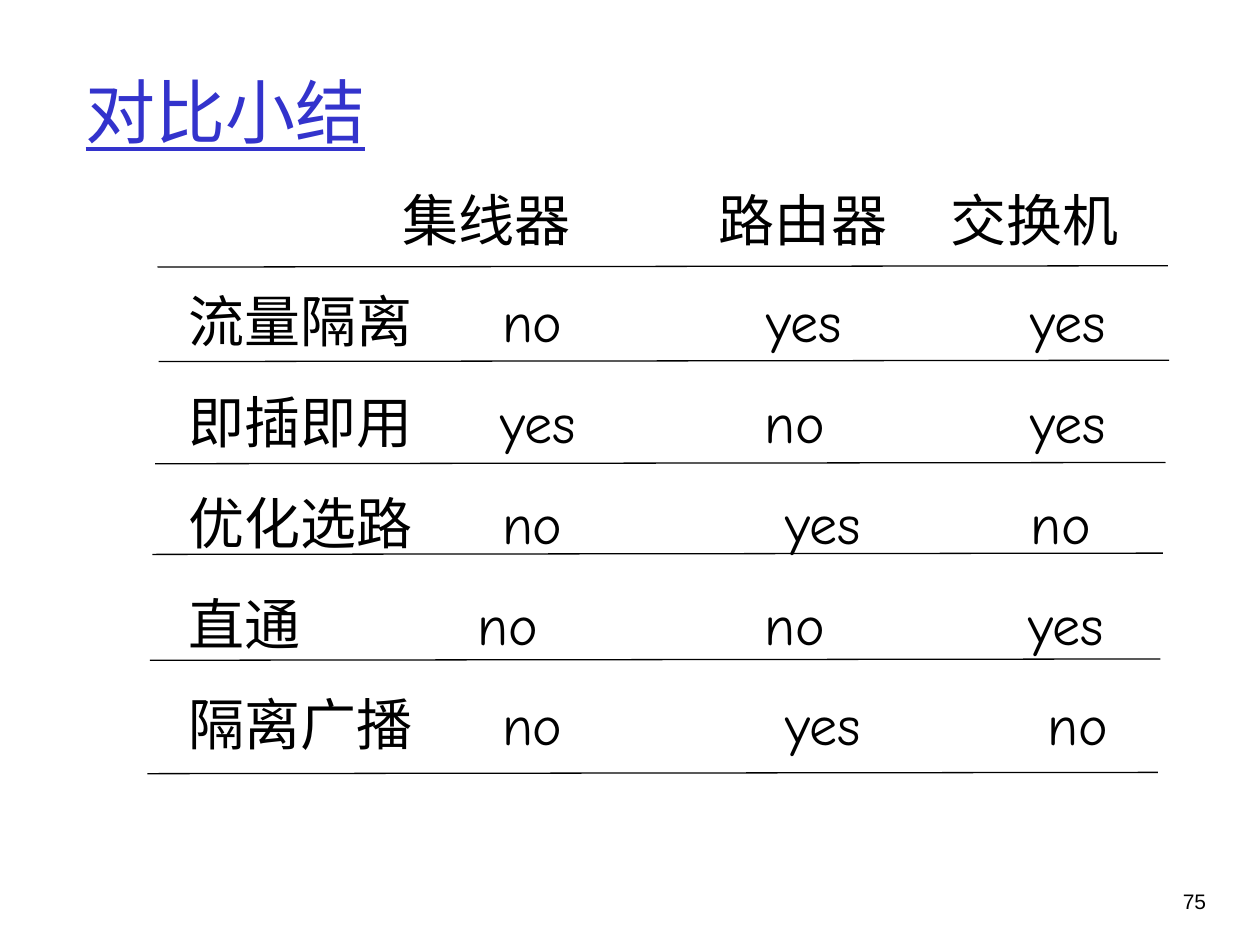
from lxml.etree import SubElement
from pptx import Presentation
from pptx.dml.color import RGBColor
from pptx.enum.shapes import MSO_CONNECTOR
from pptx.enum.text import MSO_ANCHOR, MSO_AUTO_SIZE, PP_ALIGN
from pptx.oxml.ns import qn
from pptx.util import Pt

BLUE = RGBColor(0x33, 0x33, 0xCC)
BLACK = RGBColor(0, 0, 0)

TITLE_FONT = {"name": "Times New Roman", "size": Pt(40), "underline": True}
TABLE_FONT = {"name": "Comic Neue", "size": Pt(32)}
NUMBER_FONT = {"name": "Arial", "size": Pt(12)}

ROWS = [
    (("", "集线器", "路由器", "交换机"), (122, 303, 435)),
    (("流量隔离", "no", "yes", "yes"), (179, 330, 481)),
    (("即插即用", "yes", "no", "yes"), (178, 329, 481)),
    (("优化选路", "no", "yes", "no"), (179, 341, 481)),
    (("直通", "no", "no", "yes"), (165, 329, 480)),
    (("隔离广播", "no", "yes", "no"), (179, 341, 491)),
]
RULE_STARTS = [(90, 152.6), (90.7, 206.6), (88.6, 265), (87.1, 316.8), (85.7, 377.3), (84.2, 442.1)]
RULE_WIDTH = 577.4
RULE_RISE = 0.72


def set_values(target, values):
    for name, value in values.items():
        setattr(target, name, value)


def write(paragraph, text, font, color):
    span = paragraph.add_run()
    span.text = text
    set_values(span.font, font)
    span.font.color.rgb = color


def add_title(page, text):
    title = page.shapes.title
    set_values(title, {"left": Pt(41.76), "top": Pt(18), "width": Pt(612), "height": Pt(90)})
    set_values(title.text_frame, {
        "vertical_anchor": MSO_ANCHOR.MIDDLE,
        "auto_size": MSO_AUTO_SIZE.NONE,
        "word_wrap": True,
    })
    para = title.text_frame.paragraphs[0]
    para.alignment = PP_ALIGN.LEFT
    write(para, text, TITLE_FONT, BLUE)


def add_box(page, left, top, width, height):
    box = page.shapes.add_textbox(Pt(left), Pt(top), Pt(width), Pt(height))
    box.text_frame.word_wrap = True
    return box.text_frame


def add_tabs(paragraph, stops):
    tabs = SubElement(paragraph._p.get_or_add_pPr(), qn("a:tabLst"))
    for stop in stops:
        SubElement(tabs, qn("a:tab"), pos=str(Pt(stop)), algn="l")


def add_comparison(page):
    frame = add_box(page, 100.8, 83.5, 545, 352.8)
    frame.margin_right = 0
    for index, (words, stops) in enumerate(ROWS):
        para = frame.add_paragraph() if index else frame.paragraphs[0]
        add_tabs(para, stops)
        para.line_spacing = 1.5
        write(para, "\t".join(words), TABLE_FONT, BLACK)


def add_rule(page, left, top):
    rule = page.shapes.add_connector(
        MSO_CONNECTOR.STRAIGHT, Pt(left), Pt(top), Pt(left + RULE_WIDTH), Pt(top - RULE_RISE)
    )
    rule.line.width = Pt(0.75)
    rule.line.color.rgb = BLACK
    SubElement(rule._element.spPr, qn("a:effectLst"))


def add_page_number(page, text):
    para = add_box(page, 643, 504, 53.3, 36).paragraphs[0]
    para.alignment = PP_ALIGN.RIGHT
    write(para, text, NUMBER_FONT, BLACK)


def main():
    deck = Presentation()
    set_values(deck, {"slide_width": Pt(720), "slide_height": Pt(540)})
    page = deck.slides.add_slide(deck.slide_layouts[5])
    add_title(page, "对比小结")
    add_comparison(page)
    for left, top in RULE_STARTS:
        add_rule(page, left, top)
    add_page_number(page, "75")
    deck.save("out.pptx")


if __name__ == "__main__":
    main()
